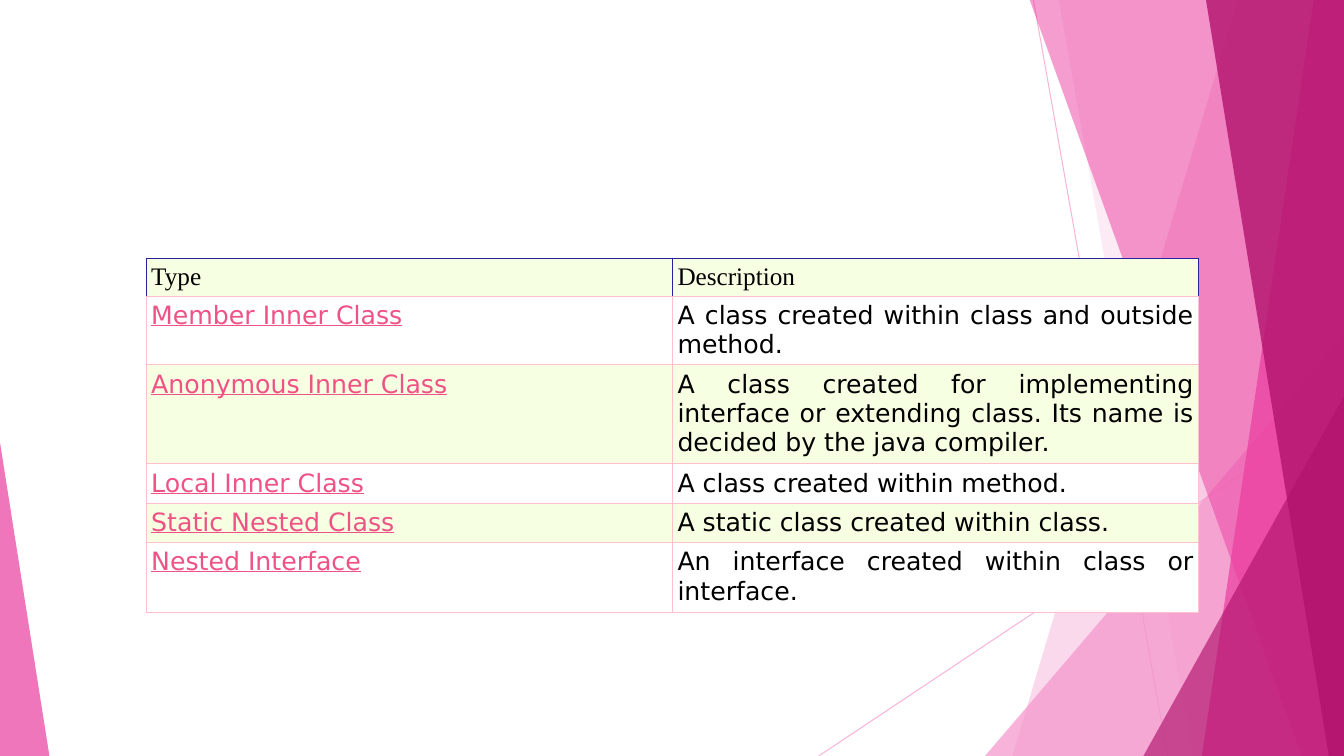
"""Build the slide that lists the types of Java nested classes."""
from dataclasses import dataclass

from lxml.etree import SubElement
from pptx import Presentation
from pptx.dml.color import RGBColor
from pptx.enum.shapes import MSO_CONNECTOR, MSO_SHAPE
from pptx.enum.text import PP_ALIGN
from pptx.oxml.ns import qn
from pptx.util import Inches, Pt

PALE, BRIGHT, DEEP = "F496CB", "EB3D9F", "B2136D"
PINK, BLUE, ROSE = "FFC0CB", "2822A1", "EF5285"
BLACK, WHITE, LIME = "000000", "FFFFFF", "F6FFE1"
WIDTH, HEIGHT, EDGE = 13.33, 7.5, -0.01


@dataclass(frozen=True)
class Ray:
    start: tuple[float, float]
    end: tuple[float, float]


@dataclass(frozen=True)
class Facet:
    """A full-height panel reaching the right edge of the slide."""
    top: float
    bottom: float
    color: str
    opacity: int


@dataclass(frozen=True)
class Wedge:
    left: float
    top: float
    width: float
    apex: float
    color: str
    opacity: int


@dataclass(frozen=True)
class ClassType:
    name: str
    description: str
    height: float


RAYS = [Ray((10.25, 0), (11.58, HEIGHT)), Ray((WIDTH, 4.03), (8.12, HEIGHT))]
PANELS = [
    Facet(12.28, 10.04, PALE, 36),
    Facet(10.5, 11.83, PALE, 20),
    Wedge(9.77, 3.33, 3.56, 1, PALE, 72),
    Facet(10.21, 12.91, BRIGHT, 50),
    Facet(13.03, 11.92, BRIGHT, 70),
    Facet(11.96, 13.18, DEEP, 80),
    Wedge(11.34, 3.93, 1.99, 1, DEEP, 66),
    Wedge(0, 4.39, 0.49, 0, BRIGHT, 70),
]
CLASS_TYPES = [
    ClassType("Type", "Description", 0.38),
    ClassType("Member Inner Class", "A class created within class and outside method.", 0.68),
    ClassType("Anonymous Inner Class", "A class created for implementing interface or extending "
              "class. Its name is decided by the java compiler.", 0.98),
    ClassType("Local Inner Class", "A class created within method.", 0.39),
    ClassType("Static Nested Class", "A static class created within class.", 0.39),
    ClassType("Nested Interface", "An interface created within class or interface.", 0.69),
]


def paint(fill, color: str) -> None:
    fill.solid()
    fill.fore_color.rgb = RGBColor.from_string(color)


def set_opacity(shape, percent: int) -> None:
    for color in shape.element.iter(qn("a:srgbClr")):
        SubElement(color, qn("a:alpha"), val=str(percent * 1000))


def draw_ray(shapes, ray: Ray) -> None:
    line = shapes.add_connector(MSO_CONNECTOR.STRAIGHT, *map(Inches, ray.start + ray.end))
    paint(line.line.fill, PALE)
    line.line.width = Pt(0.75)
    set_opacity(line, 70)
    SubElement(line.element.spPr, qn("a:effectLst"))


def draw_panel(shapes, panel: Facet | Wedge) -> None:
    if isinstance(panel, Facet):
        builder = shapes.build_freeform(Inches(panel.top), Inches(EDGE))
        corners = [(WIDTH, EDGE), (WIDTH, HEIGHT), (panel.bottom, HEIGHT)]
        builder.add_line_segments([(Inches(x), Inches(y)) for x, y in corners])
        shape = builder.convert_to_shape()
    else:
        shape = shapes.add_shape(
            MSO_SHAPE.ISOSCELES_TRIANGLE, Inches(panel.left), Inches(panel.top),
            Inches(panel.width), Inches(HEIGHT - panel.top))
        shape.adjustments[0] = panel.apex
    shape.shadow.inherit = False
    paint(shape.fill, panel.color)
    shape.line.fill.background()
    set_opacity(shape, panel.opacity)


def set_borders(cell, sides: str, bottom: str) -> None:
    properties = cell._tc.get_or_add_tcPr()
    for side, color in zip("LRTB", (sides, sides, sides, bottom)):
        border = SubElement(properties, qn(f"a:ln{side}"), w=str(Pt(0.75)))
        SubElement(SubElement(border, qn("a:solidFill")), qn("a:srgbClr"), val=color)


def write_cell(cell, text: str, row: int, column: int) -> None:
    header = row == 0
    cell.margin_left = cell.margin_right = cell.margin_top = cell.margin_bottom = Inches(0.05)
    set_borders(cell, BLUE if header else PINK, PINK)
    paint(cell.fill, WHITE if row % 2 else LIME)
    paragraph = cell.text_frame.paragraphs[0]
    paragraph.alignment = PP_ALIGN.LEFT if header else PP_ALIGN.JUSTIFY
    run = paragraph.add_run()
    run.text = text
    linked = not header and column == 0
    run.font.name = "Times New Roman" if header else "DejaVu Sans"
    run.font.size = Pt(18)
    run.font.underline = linked
    paint(run.font.fill, ROSE if linked else BLACK)


def draw_class_types(shapes) -> None:
    total = sum(entry.height for entry in CLASS_TYPES)
    table = shapes.add_table(len(CLASS_TYPES), 2, Inches(1.45), Inches(2.56),
                             Inches(10.44), Inches(total)).table
    table.first_row = table.horz_banding = False
    for row, entry in enumerate(CLASS_TYPES):
        table.rows[row].height = Inches(entry.height)
        for column, text in enumerate((entry.name, entry.description)):
            write_cell(table.cell(row, column), text, row, column)


def main() -> None:
    deck = Presentation()
    deck.slide_width, deck.slide_height = Inches(WIDTH), Inches(HEIGHT)
    slide = deck.slides.add_slide(deck.slide_layouts[6])
    paint(slide.background.fill, WHITE)
    for ray in RAYS:
        draw_ray(slide.shapes, ray)
    for panel in PANELS:
        draw_panel(slide.shapes, panel)
    draw_class_types(slide.shapes)
    deck.save("out.pptx")


if __name__ == "__main__":
    main()
